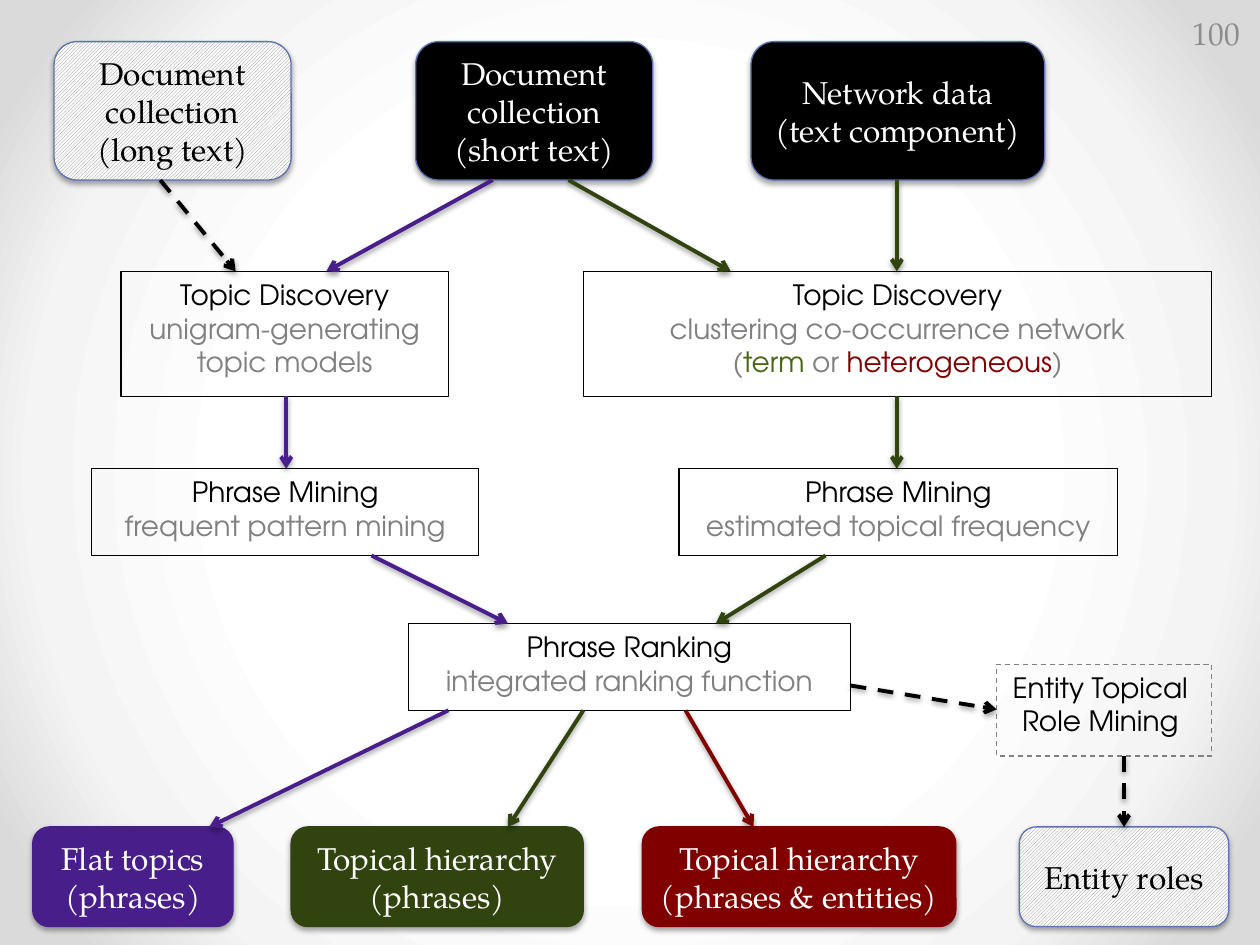
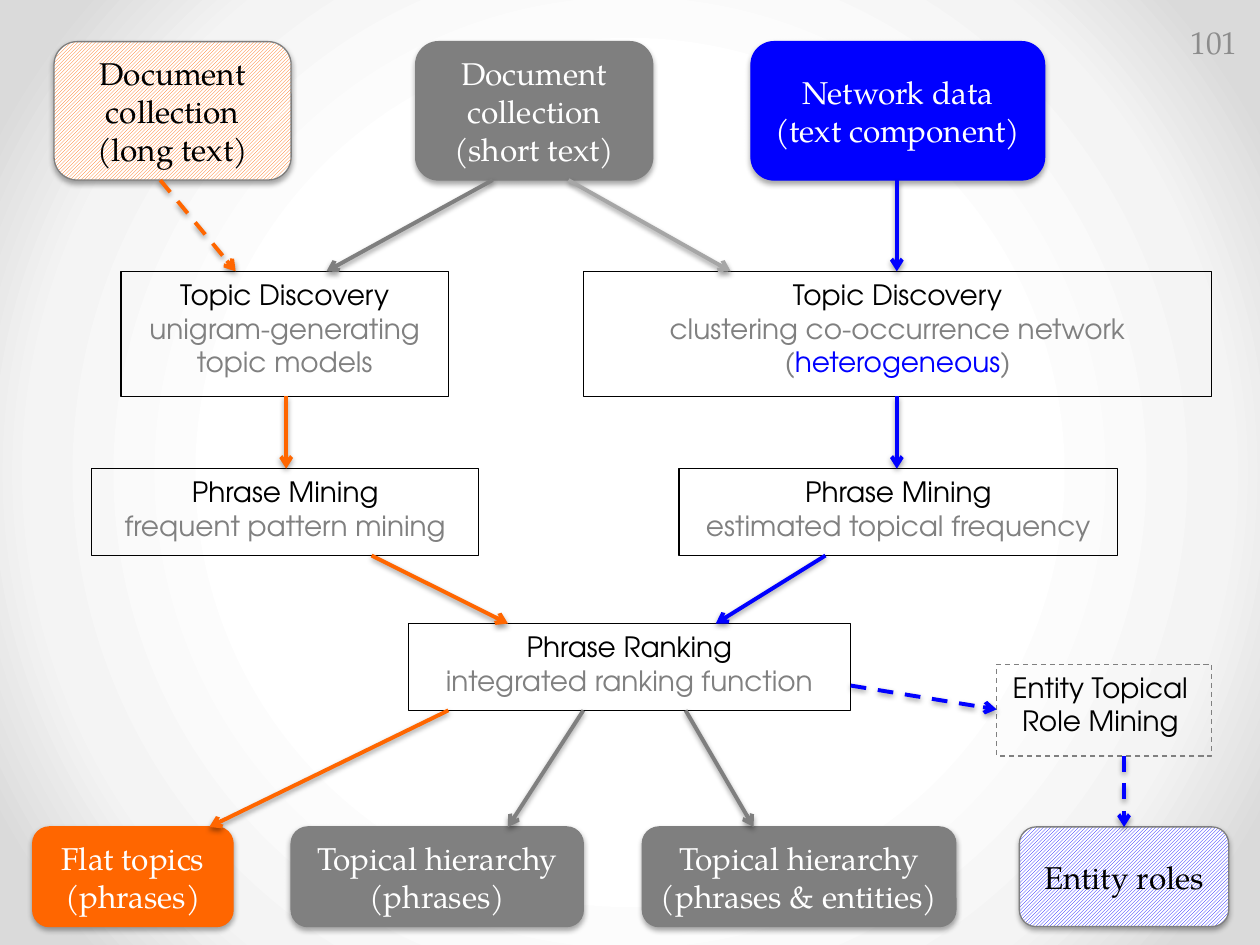
from lxml.etree import SubElement
from pptx import Presentation
from pptx.dml.color import RGBColor
from pptx.enum.dml import MSO_LINE, MSO_PATTERN
from pptx.enum.shapes import MSO_CONNECTOR, MSO_SHAPE
from pptx.enum.text import MSO_ANCHOR as ANCHOR, PP_ALIGN as ALIGN
from pptx.oxml.ns import qn
from pptx.util import Cm, Pt

# Shared style
SANS, SERIF = "TeX Gyre Adventor", "TeX Gyre Pagella"
BLACK, WHITE, GRAY, PALE = "000000", "FFFFFF", "808080", "A6A6A6"
MID, EDGE, PAGE_GRAY = "7F7F7F", "5C72B2", "8C8C8C"
PURPLE, GREEN, MOSS, RED = "481E8A", "314410", "4A6717", "800000"
ORANGE, BLUE = "FF6600", "0000FF"
rgb = RGBColor.from_string

# Rows: top, height and bottom edge
INPUT_Y, INPUT_H = 0.84, 2.79
TOPIC_Y, TOPIC_H = 5.47, 2.52
PHRASE_Y, RANK_Y, STEP_H = 9.45, 12.57, 1.75
ROLE_Y, ROLE_H = 13.39, 1.85
OUTPUT_Y, OUTPUT_H = 16.67, 2.01
INPUT_END, TOPIC_END = INPUT_Y + INPUT_H, TOPIC_Y + TOPIC_H
PHRASE_END, RANK_END, ROLE_END = PHRASE_Y + STEP_H, RANK_Y + STEP_H, ROLE_Y + ROLE_H

# Rounded data boxes: key, left, top, width, height, lines
data_boxes = [
    ("long", 1.09, INPUT_Y, 4.78, INPUT_H, ["Document collection (long text)"]),
    ("short", 8.38, INPUT_Y, 4.78, INPUT_H, ["Document collection (short text)"]),
    ("network", 15.14, INPUT_Y, 5.92, INPUT_H, ["Network data (text component)"]),
    ("flat", 0.66, OUTPUT_Y, 4.04, OUTPUT_H, ["Flat topics", "(phrases)"]),
    ("hierarchy", 5.87, OUTPUT_Y, 5.89, OUTPUT_H, ["Topical hierarchy", "(phrases)"]),
    ("entities", 12.95, OUTPUT_Y, 6.32, OUTPUT_H,
     ["Topical hierarchy", "(phrases & entities)"]),
    ("roles", 20.55, OUTPUT_Y, 4.22, OUTPUT_H, ["Entity roles"]),
]
HATCHED = ("long", "roles")

# Step boxes: left, top, width, height, title, method lines
step_boxes = [
    (2.44, TOPIC_Y, 6.6, TOPIC_H, "Topic Discovery",
     ["unigram-generating", "topic models"]),
    (11.76, TOPIC_Y, 12.67, TOPIC_H, "Topic Discovery",
     ["clustering co-occurrence network"]),
    (1.85, PHRASE_Y, 7.8, STEP_H, "Phrase Mining", ["frequent pattern mining"]),
    (13.69, PHRASE_Y, 8.84, STEP_H, "Phrase Mining", ["estimated topical frequency"]),
    (8.23, RANK_Y, 8.92, STEP_H, "Phrase Ranking", ["integrated ranking function"]),
]

# Arrows: key, from x, from y, to x, to y
arrows = [
    ("long", 3.23, INPUT_END, 4.75, TOPIC_Y),
    ("short_left", 9.93, INPUT_END, 6.58, TOPIC_Y),
    ("short_right", 11.46, INPUT_END, 14.73, TOPIC_Y),
    ("network", 18.08, INPUT_END, 18.08, TOPIC_Y),
    ("flat", 5.77, TOPIC_END, 5.77, PHRASE_Y),
    ("network", 18.08, TOPIC_END, 18.08, PHRASE_Y),
    ("flat", 7.49, PHRASE_END, 10.24, RANK_Y),
    ("network", 16.64, PHRASE_END, 14.43, RANK_Y),
    ("flat", 9.04, RANK_END, 4.22, OUTPUT_Y),
    ("hierarchy", 11.76, RANK_END, 10.24, OUTPUT_Y),
    ("entities", 13.82, RANK_END, 15.19, OUTPUT_Y),
    ("roles", 17.15, 13.82, 20.09, 14.3),
    ("roles", 22.66, ROLE_END, 22.66, OUTPUT_Y),
]

# What differs between slides; boxes give (fill, line)
variants = [
    dict(
        page="100", page_at=(23.7, 0.15),
        network_kind=[("(", GRAY), ("term", MOSS), (" or ", GRAY),
                      ("heterogeneous", RED), (")", GRAY)],
        boxes=dict(long=(GRAY, EDGE), short=(BLACK, EDGE), network=(BLACK, EDGE),
                   flat=(PURPLE, PURPLE), hierarchy=(GREEN, GREEN),
                   entities=(RED, RED), roles=(GRAY, EDGE)),
        arrows=dict(long=BLACK, short_left=PURPLE, short_right=GREEN, network=GREEN,
                    flat=PURPLE, hierarchy=GREEN, entities=RED, roles=BLACK)),
    dict(
        page="101", page_at=(23.65, 0.33),
        network_kind=[("(", GRAY), ("heterogeneous", BLUE), (")", GRAY)],
        boxes=dict(long=(ORANGE, MID), short=(MID, MID), network=(BLUE, BLUE),
                   flat=(ORANGE, ORANGE), hierarchy=(GRAY, GRAY),
                   entities=(MID, MID), roles=(BLUE, MID)),
        arrows=dict(long=ORANGE, short_left=MID, short_right=PALE, network=BLUE,
                    flat=ORANGE, hierarchy=GRAY, entities=MID, roles=BLUE)),
]


def add_box(s, kind, at, line, paragraphs, font, size):
    """Add an unfilled box; each paragraph is a list of (text, colour) runs."""
    sp = s.shapes.add_shape(kind, *map(Cm, at))
    sp.shadow.inherit = False
    sp.fill.background()
    sp.line.color.rgb = rgb(line)
    sp.line.width = Pt(0.75)
    tf = sp.text_frame
    tf.word_wrap = True
    tf.vertical_anchor = ANCHOR.TOP
    for i, runs in enumerate(paragraphs):
        p = tf.add_paragraph() if i else tf.paragraphs[0]
        p.alignment = ALIGN.CENTER
        p.font.name, p.font.size = font, Pt(size)
        for text, color in runs:
            r = p.add_run()
            r.text = text
            r.font.color.rgb = rgb(color)
    return sp


def add_shadow(sp, alpha, dist):
    """Drop a soft black shadow straight down."""
    spPr = sp._element.spPr
    effects = spPr.find(qn("a:effectLst"))
    if effects is None:
        effects = SubElement(spPr, qn("a:effectLst"))
    shadow = SubElement(effects, qn("a:outerShdw"), blurRad=str(Pt(3.15)),
                        dist=str(Pt(dist)), dir="5400000", rotWithShape="0")
    color = SubElement(shadow, qn("a:srgbClr"), val=BLACK)
    SubElement(color, qn("a:alpha"), val=str(alpha * 1000))


prs = Presentation()
prs.slide_width, prs.slide_height = Cm(25.4), Cm(19.05)

# Radial background on the master
fill = prs.slide_master.background.fill
fill.gradient()
grad = prs.slide_master._element.find(".//" + qn("p:bgPr")).find(qn("a:gradFill"))
for child in list(grad):
    grad.remove(child)
stops = SubElement(grad, qn("a:gsLst"))
for pos, color in [(50, WHITE), (76, "F4F4F4"), (92, "DADADA")]:
    stop = SubElement(stops, qn("a:gs"), pos=str(pos * 1000))
    SubElement(stop, qn("a:srgbClr"), val=color)
radial = SubElement(grad, qn("a:path"))
radial.set("path", "circle")
SubElement(radial, qn("a:fillToRect"), l="50000", t="50000", r="50000", b="50000")

for v in variants:
    s = prs.slides.add_slide(prs.slide_layouts[6])

    # Step boxes
    for x, y, w, h, title, method in step_boxes:
        paragraphs = [[(title, BLACK)]] + [[(text, GRAY)] for text in method]
        if method[0].startswith("clustering"):
            paragraphs.append(v["network_kind"])
        add_box(s, MSO_SHAPE.RECTANGLE, (x, y, w, h), BLACK, paragraphs, SANS, 16)
    sp = add_box(s, MSO_SHAPE.RECTANGLE, (20.09, ROLE_Y, 4.34, ROLE_H), GRAY,
                 [[("Entity Topical ", BLACK)], [("Role Mining ", BLACK)]], SANS, 16)
    sp.line.dash_style = MSO_LINE.DASH

    # Data boxes
    for key, x, y, w, h, lines in data_boxes:
        color, edge = v["boxes"][key]
        ink = BLACK if key in HATCHED else WHITE
        sp = add_box(s, MSO_SHAPE.ROUNDED_RECTANGLE, (x, y, w, h), edge,
                     [[(text, ink)] for text in lines], SERIF, 18)
        sp.text_frame.vertical_anchor = ANCHOR.MIDDLE
        if key in HATCHED:
            sp.fill.patterned()
            sp.fill.pattern = MSO_PATTERN.LIGHT_UPWARD_DIAGONAL
            sp.fill.fore_color.rgb = rgb(color)
            sp.fill.back_color.rgb = rgb(WHITE)
        else:
            sp.fill.solid()
            sp.fill.fore_color.rgb = rgb(color)
        add_shadow(sp, 35, 1.8)

    # Arrows
    for key, *ends in arrows:
        c = s.shapes.add_connector(MSO_CONNECTOR.STRAIGHT, *map(Cm, ends))
        c.line.color.rgb = rgb(v["arrows"][key])
        c.line.width = Pt(2.25)
        if key in HATCHED:
            c.line.dash_style = MSO_LINE.DASH
        SubElement(c._element.spPr.find(qn("a:ln")), qn("a:tailEnd"), type="arrow")
        add_shadow(c, 38, 1.6)

    # Page number
    tf = s.shapes.add_textbox(*map(Cm, (*v["page_at"], 1.55, 1.02))).text_frame
    tf.word_wrap = True
    tf.vertical_anchor = ANCHOR.MIDDLE
    p = tf.paragraphs[0]
    p.text = v["page"]
    p.alignment = ALIGN.RIGHT
    p.font.name, p.font.size = SERIF, Pt(18)
    p.font.color.rgb = rgb(PAGE_GRAY)

prs.save("out.pptx")
